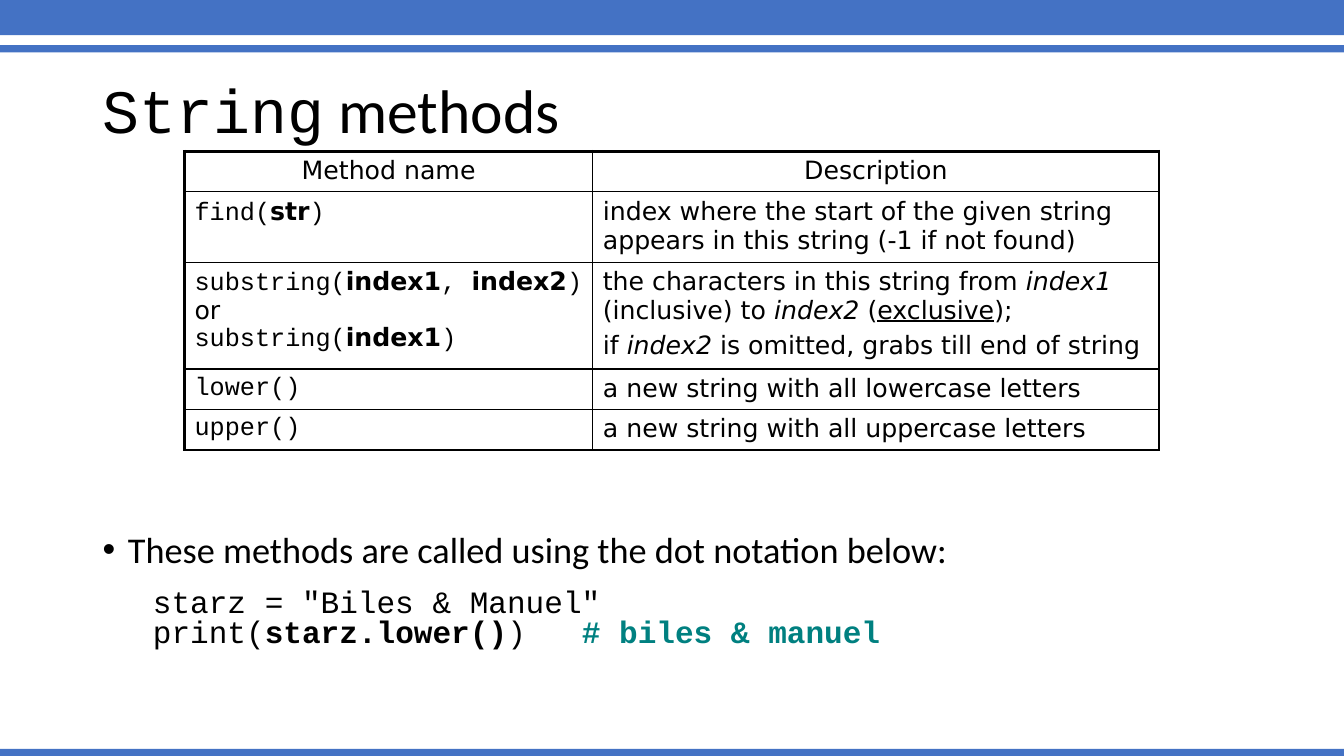
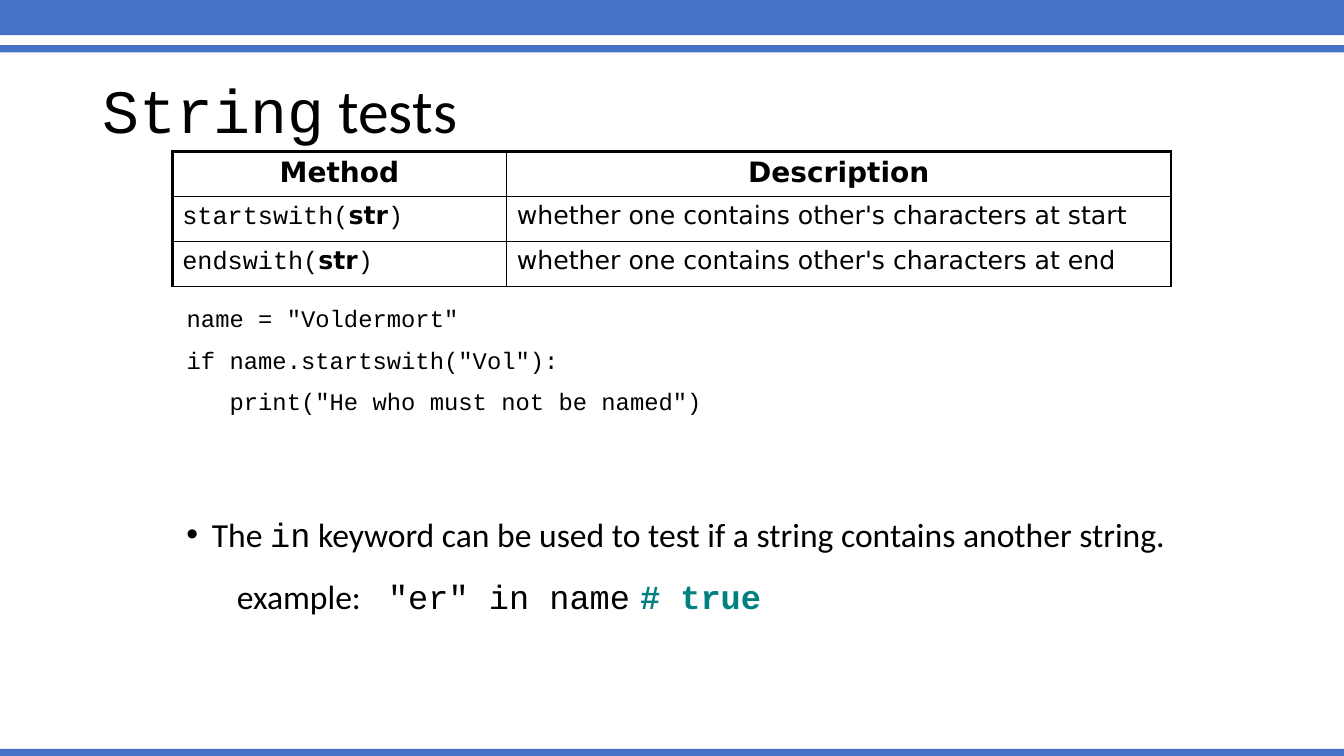
from lxml.etree import SubElement
from pptx import Presentation
from pptx.dml.color import RGBColor
from pptx.enum.shapes import MSO_SHAPE
from pptx.enum.text import MSO_ANCHOR, MSO_AUTO_SIZE, PP_ALIGN
from pptx.oxml.ns import qn
from pptx.util import Cm, Pt

BLUE, BLACK, TEAL = "4472C4", "000000", "008080"
FONTS = {"c": "Calibri", "m": "Courier New", "d": "DejaVu Sans"}
WIDTH, HEIGHT = 33.87, 19.05
BANDS = [(-0.08, 0.97), (1.14, 0.18), (18.87, 0.18)]  # top, height
THIN, THICK = 1, 2.25

# Content: a run is (text, style); a style starts with a FONTS key,
# then b, i, u for bold, italic, underline and # for a code comment.
METHODS = {
    "at": (4.65, 3.81), "cols": [10.29, 14.27],
    "rows": [1.02, 1.78, 2.69, 1.02, 1.02],
    "header": ("d", 18), "closed": True,
    "cells": [
        ["Method name", "Description"],
        [[[("find(", "m"), ("str", "db"), (")", "m")]],
         [[("index where the start of the given string appears in this "
            "string (-1 if not found)", "d")]]],
        [[[("substring(", "m"), ("index1", "db"), (", ", "m"),
           ("index2", "db"), (")", "m")],
          [("or", "d")],
          [("substring(", "m"), ("index1", "db"), (")", "m")]],
         [[("the characters in this string from ", "d"), ("index1", "di"),
           (" (inclusive) to ", "d"), ("index2", "di"), (" (", "d"),
           ("exclusive", "du"), (");", "d")],
          [("if ", "d"), ("index2", "di"),
           (" is omitted, grabs till end of string", "d")]]],
        [[[("lower()", "m")]],
         [[("a new string with all lowercase letters", "d")]]],
        [[[("upper()", "m")]],
         [[("a new string with all uppercase letters", "d")]]],
    ],
}
TESTS = {
    "at": (4.34, 3.81), "cols": [8.43, 16.74], "rows": [1.14] * 3,
    "header": ("db", 20), "closed": False,
    "cells": [["Method", "Description"]] + [
        [[[(f"{where}swith(", "m"), ("str", "db"), (")", "m")]],
         [[(f"whether one contains other's characters at {where}", "d")]]]
        for where in ("start", "end")],
}
DOT_NOTATION = [("These methods are called using the dot notation below:", "c")]
DOT_CODE = [
    [('starz = "Biles & Manuel"', "m")],
    [("print(", "m"), ("starz.lower()", "mb"), (")   ", "m"),
     ("# biles & manuel", "mb#")],
]
TEST_CODE = ['name = "Voldermort"', 'if name.startswith("Vol"):',
             '   print("He who must not be named")']
IN_KEYWORD = [("The ", "c"), ("in", "m"),
              (" keyword can be used to test if a string contains another "
               "string.", "c")]
IN_EXAMPLE = [("\texample:\t", "c"), ('"er" in name\t', "m"),
              ("# true", "mb#")]
IN_TABS = [2.54, 6.46, 15.08]


def rgb(value):
    return RGBColor.from_string(value)


# Text
def write(p, runs, size, spacing=1.0, before=0, align=PP_ALIGN.LEFT):
    p.alignment, p.line_spacing, p.space_before = align, spacing, Pt(before)
    for text, style in runs:
        r = p.add_run()
        r.text = text
        font = r.font
        font.name, font.size = FONTS[style[0]], Pt(size)
        font.bold, font.italic = "b" in style, "i" in style
        font.underline = "u" in style
        font.color.rgb = rgb(TEAL if "#" in style else BLACK)


def set_list(p, bullet=False, left=0, tabs=()):
    pPr = p._p.get_or_add_pPr()
    hang = 0.64 if bullet else 0
    pPr.set("marL", str(Cm(left + hang)))
    pPr.set("indent", str(-Cm(hang)))
    if bullet:
        SubElement(pPr, qn("a:buFont")).set("typeface", "Arial")
        SubElement(pPr, qn("a:buChar")).set("char", "•")
    else:
        SubElement(pPr, qn("a:buNone"))
    if tabs:
        stops = SubElement(pPr, qn("a:tabLst"))
        for pos in tabs:
            tab = SubElement(stops, qn("a:tab"))
            tab.set("pos", str(Cm(pos)))
            tab.set("algn", "l")


def place(shape, left, top, width, height):
    shape.left, shape.top = Cm(left), Cm(top)
    shape.width, shape.height = Cm(width), Cm(height)
    tf = shape.text_frame
    tf.word_wrap, tf.auto_size = True, MSO_AUTO_SIZE.NONE
    return tf


def paragraphs(tf, count):
    return [tf.paragraphs[0]] + [tf.add_paragraph() for _ in range(count - 1)]


# Shared slide parts
def add_bands(s):
    tree = prs.slide_master.shapes.element
    for i, (top, height) in enumerate(BANDS):
        band = s.shapes.add_shape(MSO_SHAPE.RECTANGLE, 0, Cm(top),
                                  Cm(WIDTH), Cm(height))
        band.shadow.inherit = False
        band.fill.solid()
        band.fill.fore_color.rgb = rgb(BLUE)
        band.line.fill.background()
        band.element.nvSpPr.cNvPr.set("id", str(101 + i))
        tree.insert(2 + i, band.element)  # bands live on the master


def add_slide(topic):
    s = prs.slides.add_slide(prs.slide_layouts[1])
    tf = place(s.shapes.title, 2.33, 1.01, 29.21, 3.68)
    tf.vertical_anchor = MSO_ANCHOR.MIDDLE
    write(tf.paragraphs[0], [("String", "m"), (f" {topic}", "c")], 44, 0.9)
    return s


# Tables
def set_borders(cell, widths):
    tcPr = cell._tc.get_or_add_tcPr()
    for side, width in zip("LRTB", widths):
        ln = SubElement(tcPr, qn(f"a:ln{side}"))
        ln.set("w", str(Pt(width)))
        fill = SubElement(ln, qn("a:solidFill"))
        SubElement(fill, qn("a:srgbClr")).set("val", BLACK)


def add_grid(s, grid):
    cols, rows = grid["cols"], grid["rows"]
    left, top = grid["at"]
    table = s.shapes.add_table(len(rows), len(cols), Cm(left), Cm(top),
                               Cm(sum(cols)), Cm(sum(rows))).table
    table.first_row = table.horz_banding = False
    for column, width in zip(table.columns, cols):
        column.width = Cm(width)
    for row, height in zip(table.rows, rows):
        row.height = Cm(height)
    last_row, last_col = len(rows) - 1, len(cols) - 1
    for i, row in enumerate(grid["cells"]):
        for j, content in enumerate(row):
            cell = table.cell(i, j)
            outer = (j == 0, j == last_col, i == 0,
                     i == last_row and grid["closed"])
            set_borders(cell, [THICK if edge else THIN for edge in outer])
            cell.fill.background()
            if i == 0:
                style, size = grid["header"]
                write(cell.text_frame.paragraphs[0], [(content, style)], size,
                      before=size / 5, align=PP_ALIGN.CENTER)
                continue
            lines = paragraphs(cell.text_frame, len(content))
            for n, (p, runs) in enumerate(zip(lines, content)):
                tight = j == 0 and n > 0
                write(p, runs, 18, 0.7 if tight else 1.0, 3.6)


prs = Presentation()
prs.slide_width, prs.slide_height = Cm(WIDTH), Cm(HEIGHT)

# String methods
s = add_slide("methods")
add_bands(s)
tf = place(s.placeholders[1], 2.33, 5.08, 29.21, 12.09)
tf.margin_top = Cm(8.2)  # list starts below the table
tf.vertical_anchor = MSO_ANCHOR.TOP
bullet, *code = paragraphs(tf, 1 + len(DOT_CODE))
write(bullet, DOT_NOTATION, 25.9)
set_list(bullet, bullet=True)
for p, runs, before in zip(code, DOT_CODE, (18, 5)):
    write(p, runs, 22.2, 0.6, before)
    set_list(p, left=1.27)
add_grid(s, METHODS)

# String tests
s = add_slide("tests")
tf = place(s.placeholders[1], 4.45, 7.62, 24.97, 3.63)
for p, line in zip(paragraphs(tf, len(TEST_CODE)), TEST_CODE):
    write(p, [(line, "m")], 17, 0.9, 11)
    set_list(p)
add_grid(s, TESTS)
tf = place(s.shapes.add_textbox(0, 0, 0, 0), 4.45, 12.62, 25.96, 3.63)
keyword, example = paragraphs(tf, 2)
write(keyword, IN_KEYWORD, 24, 1.2, 10)
set_list(keyword, bullet=True)
write(example, IN_EXAMPLE, 24, 1.2, 10)
set_list(example, tabs=IN_TABS)

prs.save("out.pptx")
